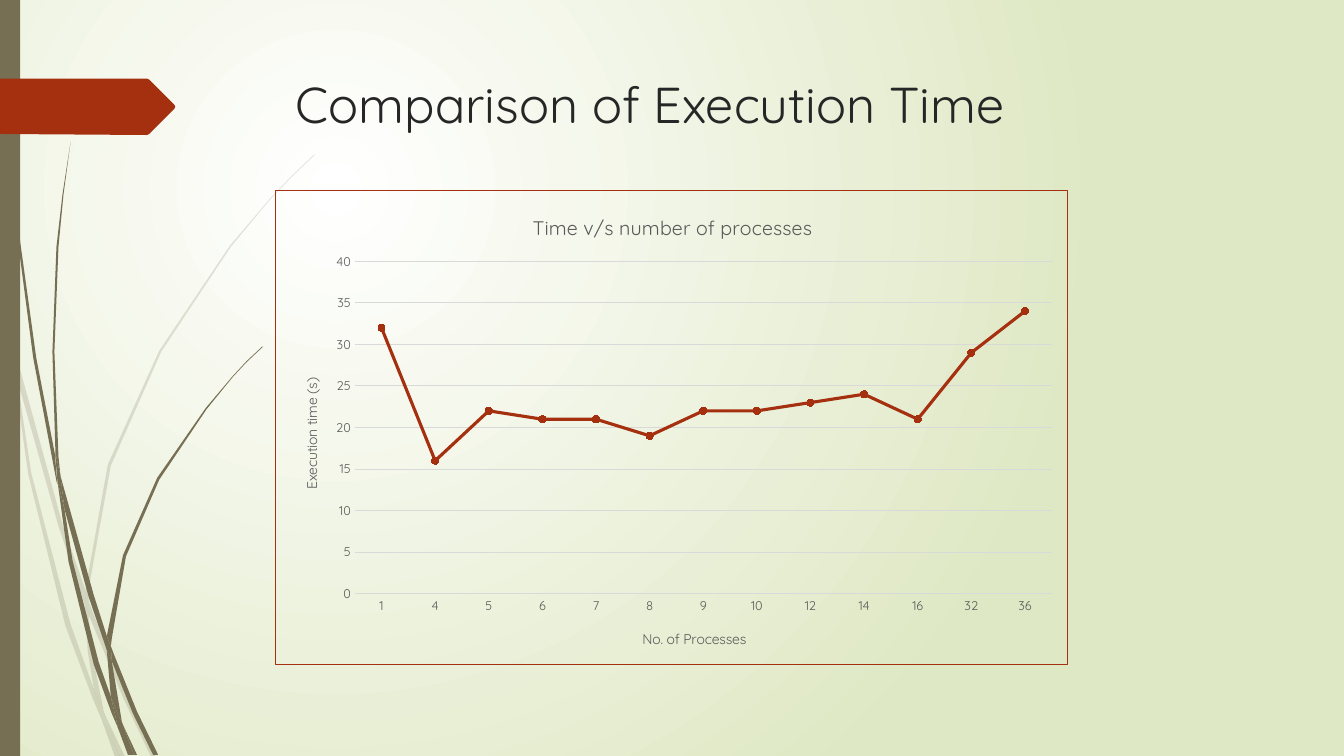
from lxml import etree
from pptx import Presentation
from pptx import util as u
from pptx.chart.data import CategoryChartData
from pptx.dml.color import RGBColor
from pptx.enum import chart as ch, shapes, text
from pptx.oxml import parse_xml
from pptx.oxml.ns import nsdecls, qn

theme = {
    "font": "Quicksand",
    "olive": RGBColor.from_string("766F54"),
    "rust": RGBColor.from_string("A53010"),
    "title": RGBColor.from_string("262626"),
    "label": RGBColor.from_string("595959"),
    "grid": RGBColor.from_string("D9D9D9"),
    "glow": [RGBColor.from_string("FFFFFF"), RGBColor.from_string("DFE8C4")],
    "title_pt": u.Pt(36),
    "chart_title_pt": u.Pt(14),
    "axis_title_pt": u.Pt(10),
    "tick_pt": u.Pt(9),
}

FAINT_BLADES = [
    "11,350 9,322 0,282 0,299 10,344",
    "58,522 84,599 85,586 62,520 14,345 17,376",
    "92,607 88,596 88,610 123,694 150,751 155,751 127,692",
    "119,751 124,751 105,711",
    "93,683 70,619 31,469 17,376 11,350 28,470 65,621 92,693 101,714 99,707",
    "84,599 87,646 93,683 96,692 105,711 103,706 91,646 88,610 88,608",
    "88,584 110,462 160,349 229,245 268,198 290,175 312,154 312,153 289,175 "
    "268,197 228,244 158,348 107,461 85,584 85,586 88,596",
    "101,714 114,751 119,751",
    "88,608 88,610 88,596 85,586 84,599",
    "96,692 93,683 99,707 101,714 119,751 105,711",
]
DARK_BLADES = [
    "7,110 17,233 33,355 56,477 57,481 55,457 55,453 36,355 19,232 8,109 5,48 4,0 3,0 4,48",
    "88,592 106,645 106,633 106,631 93,590 60,472 64,505",
    "113,649 110,641 111,656 132,708 152,749 157,749 136,706",
    "110,691 98,657 72,556 64,505 57,477 68,557 93,659 111,708 117,722 116,717",
    "60,472 58,453 54,349 58,245 63,193 70,141 62,193 56,245 52,349 55,449",
    "133,749 136,749 122,719",
    "57,477 64,505 60,472 55,449 55,453",
    "111,633 125,552 158,476 205,406 231,374 245,359 261,344 260,344 245,358 "
    "231,373 204,405 156,474 122,551 106,631 110,641",
    "117,722 127,749 131,749",
    "106,645 110,691 116,706 122,719 121,716 111,656 109,651",
    "106,645 109,651 111,656 110,641 106,631 106,633",
    "116,706 110,691 116,717 117,722 130,749 133,749 122,719",
]
PENTAGON = "0,78 146,78 148,79 173,104 174,106 173,108 148,133 146,134 0,133"

prs = Presentation()
prs.slide_width, prs.slide_height = u.Cm(33.87), u.Cm(19.05)
s = prs.slides.add_slide(prs.slide_layouts[6])

bg = s.background.fill
bg.gradient()
for stop, position, colour in zip(bg.gradient_stops, (0, 1), theme["glow"]):
    stop.position = position
    stop.color.rgb = colour
lin = s._element.find(".//" + qn("a:lin"))
lin.getparent().replace(lin, parse_xml(
    f'<a:path {nsdecls("a")} path="circle">'
    '<a:fillToRect l="50000" t="50000" r="100000" b="100000"/></a:path>'))


def add_outline(parent, outline, colour):
    points = [tuple(map(int, pair.split(","))) for pair in outline.split()]
    builder = parent.build_freeform(*points[0], scale=u.Cm(0.0254))
    builder.add_line_segments(points[1:], close=True)
    sp = builder.convert_to_shape()
    sp.shadow.inherit = False
    sp.fill.solid()
    sp.fill.fore_color.rgb = colour
    sp.line.fill.background()
    return sp


for blades, opacity in ((FAINT_BLADES, 20), (DARK_BLADES, 100)):
    group = s.shapes.add_group_shape()
    for outline in blades:
        sp = add_outline(group.shapes, outline, theme["olive"])
        if opacity < 100:
            rgb = sp._element.spPr.find(".//" + qn("a:srgbClr"))
            etree.SubElement(rgb, qn("a:alpha")).set("val", str(opacity * 1000))

bar = s.shapes.add_shape(shapes.MSO_SHAPE.RECTANGLE, 0, 0, u.Cm(0.51), prs.slide_height)
bar.shadow.inherit = False
bar.fill.solid()
bar.fill.fore_color.rgb = theme["olive"]
bar.line.fill.background()

add_outline(s.shapes, PENTAGON, theme["rust"])

tf = s.shapes.add_textbox(u.Cm(7.21), u.Cm(1.73), u.Cm(24.77), u.Cm(3.56)).text_frame
tf.word_wrap = True
tf.vertical_anchor = text.MSO_ANCHOR.TOP
r = tf.paragraphs[0].add_run()
r.text = "Comparison of Execution Time"
r.font.name, r.font.size = theme["font"], theme["title_pt"]
r.font.color.rgb = theme["title"]

data = CategoryChartData()
data.categories = ["1", "4", "5", "6", "7", "8", "9", "10", "12", "14", "16", "32", "36"]
data.add_series("Series 1", [32, 16, 22, 21, 21, 19, 22, 22, 23, 24, 21, 29, 34])
chart = s.shapes.add_chart(ch.XL_CHART_TYPE.LINE_MARKERS, u.Cm(6.93), u.Cm(4.78),
                           u.Cm(19.99), u.Cm(11.99), data).chart
chart.has_legend = False
chart.font.name, chart.font.size = theme["font"], theme["axis_title_pt"]
chart._chartSpace.find(qn("c:chart")).addnext(parse_xml(
    f'<c:spPr {nsdecls("c", "a")}><a:noFill/><a:ln w="9525"><a:solidFill>'
    f'<a:srgbClr val="{theme["rust"]}"/></a:solidFill></a:ln></c:spPr>'))


def place(element, **fractions):
    layout = element.find(qn("c:layout"))
    if layout is None:
        layout = etree.Element(qn("c:layout"))
        element.insert(0, layout)
    manual = etree.SubElement(layout, qn("c:manualLayout"))
    if "w" in fractions:
        etree.SubElement(manual, qn("c:layoutTarget")).set("val", "inner")
    for mode in ("xMode", "yMode"):
        etree.SubElement(manual, qn("c:" + mode)).set("val", "edge")
    for key, value in fractions.items():
        etree.SubElement(manual, qn("c:" + key)).set("val", str(value))


cat, val = chart.category_axis, chart.value_axis
for owner, label, size, x, y in (
    (chart, "Time v/s number of processes", theme["chart_title_pt"], 0.32, 0.04),
    (cat, "No. of Processes", theme["axis_title_pt"], 0.46, 0.92),
    (val, "Execution time (s)", theme["axis_title_pt"], 0.03, 0.39),
):
    title = owner.chart_title if owner is chart else owner.axis_title
    r = title.text_frame.paragraphs[0].add_run()
    r.text = label
    r.font.name, r.font.size, r.font.bold = theme["font"], size, False
    r.font.color.rgb = theme["label"]
    place(title._element, x=x, y=y)
val.axis_title.text_frame._txBody.bodyPr.set("rot", "-5400000")
place(chart._chartSpace.find(".//" + qn("c:plotArea")), x=0.1, y=0.15, w=0.88, h=0.7)

for axis in (cat, val):
    axis.major_tick_mark = axis.minor_tick_mark = ch.XL_TICK_MARK.NONE
    font = axis.tick_labels.font
    font.name, font.size = theme["font"], theme["tick_pt"]
    font.color.rgb = theme["label"]
val.minimum_scale, val.maximum_scale, val.major_unit = 0, 40, 5
val.format.line.fill.background()
for line in (cat.format.line, val.major_gridlines.format.line):
    line.color.rgb = theme["grid"]
    line.width = u.Pt(0.75)

plot = chart.plots[0]
plot.vary_by_categories = False
series = plot.series[0]
series.smooth = False
series.format.line.color.rgb = theme["rust"]
series.format.line.width = u.Pt(2.25)
series.marker.style, series.marker.size = ch.XL_MARKER_STYLE.CIRCLE, 5
series.marker.format.fill.solid()
series.marker.format.fill.fore_color.rgb = theme["rust"]
series.marker.format.line.color.rgb = theme["rust"]

prs.save("out.pptx")
